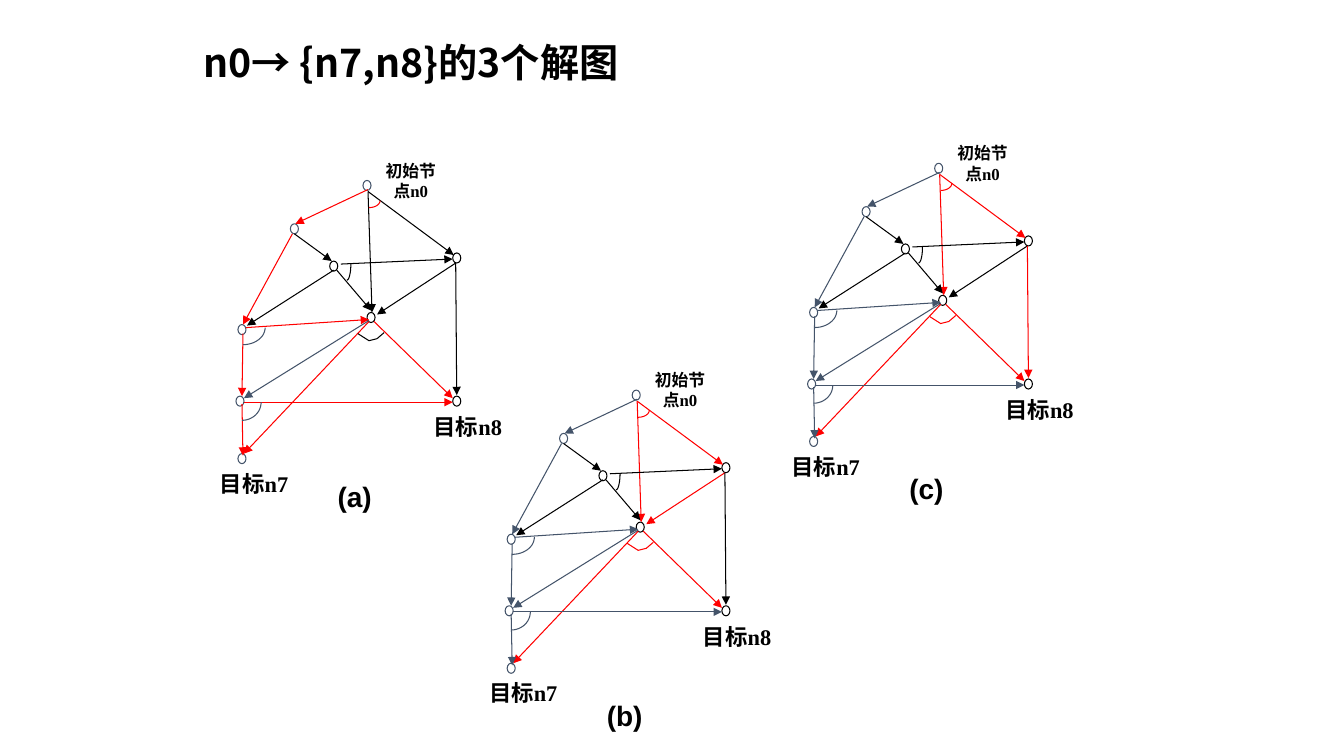
from dataclasses import dataclass
from math import cos, pi, sin

from lxml.etree import SubElement
from pptx import Presentation
from pptx.dml.color import RGBColor
from pptx.enum.shapes import MSO_CONNECTOR, MSO_SHAPE
from pptx.enum.text import MSO_ANCHOR, MSO_AUTO_SIZE, PP_ALIGN
from pptx.oxml.ns import qn
from pptx.shapes.shapetree import GroupShapes
from pptx.util import Inches, Pt

COLORS = {"black": "000000", "slate": "44546A", "red": "FF0000"}
Point = tuple[float, float]


@dataclass
class Node:
    left: float
    top: float
    color: str


@dataclass
class Edge:
    key: str
    start: Point
    end: Point
    color: str


@dataclass
class Arc:
    key: str
    center: Point
    radii: Point
    color: str


@dataclass
class Label:
    text: str
    left: float
    top: float
    width: float
    height: float
    size: int


@dataclass
class Graph:
    name: str
    origin: Point
    caption: float
    red: set[str]


# Positions below are measured from the origin of each graph.
NODES = [
    Node(1.27, 0.27, "slate"), Node(0.55, 0.7, "slate"),
    Node(0.94, 1.07, "black"), Node(1.31, 1.58, "black"),
    Node(2.16, 0.99, "black"), Node(0.03, 1.7, "slate"),
    Node(0.01, 2.41, "slate"), Node(2.16, 2.41, "black"),
    Node(0.03, 2.98, "slate"),
]
# An edge key holds the numbers of the two nodes it joins.
EDGES = [
    Edge("01", (1.32, 0.36), (0.6, 0.7), "slate"),
    Edge("03", (1.32, 0.38), (1.36, 1.58), "black"),
    Edge("04", (1.32, 0.38), (2.17, 1.01), "black"),
    Edge("15", (0.57, 0.8), (0.08, 1.7), "slate"),
    Edge("12", (0.59, 0.8), (0.96, 1.07), "black"),
    Edge("23", (1.01, 1.16), (1.35, 1.56), "black"),
    Edge("24", (1.05, 1.1), (2.16, 1.05), "black"),
    Edge("53", (0.11, 1.73), (1.33, 1.65), "slate"),
    Edge("56", (0.08, 1.79), (0.07, 2.41), "slate"),
    Edge("43", (2.19, 1.09), (1.41, 1.6), "black"),
    Edge("48", (2.19, 1.09), (2.2, 2.4), "black"),
    Edge("36", (1.33, 1.66), (0.09, 2.43), "slate"),
    Edge("37", (1.33, 1.67), (0.09, 2.98), "red"),
    Edge("38", (1.38, 1.67), (2.16, 2.43), "red"),
    Edge("68", (0.09, 2.47), (2.16, 2.47), "slate"),
    Edge("67", (0.07, 2.49), (0.08, 3.0), "slate"),
    Edge("25", (0.98, 1.16), (0.12, 1.71), "black"),
]
ARCS = [
    Arc("0", (1.33, 0.47), (0.11, 0.07), "red"),
    Arc("2", (1.11, 1.1), (0.04, 0.16), "black"),
    Arc("5", (0.08, 1.73), (0.22, 0.17), "slate"),
    Arc("6", (0.07, 2.47), (0.19, 0.18), "slate"),
]
HUB = [(1.22, 1.79), (1.33, 1.86), (1.41, 1.84), (1.48, 1.78)]
LABELS = [
    Label("目标n7", -0.25, 3.09, 0.88, 0.37, 16),
    Label("目标n8", 1.87, 2.53, 0.88, 0.37, 16),
    Label("初始节点n0", 1.37, 0.02, 0.75, 0.5, 12),
]
GRAPHS = [
    Graph("(b)", (5, 3.6), 6.92, {"03", "04", "43", "37", "38", "3"}),
    Graph("(c)", (8, 1.35), 4.67, {"03", "04", "48", "37", "38", "3"}),
    Graph("(a)", (2.33, 1.52), 4.75,
          {"01", "15", "53", "56", "37", "38", "68", "67"}),
]


def paint(shape, color: str) -> None:
    shape.line.color.rgb = RGBColor.from_string(COLORS[color])
    shape.line.width = Pt(0.75)


def shift(graph: Graph, point: Point) -> tuple[int, int]:
    """Turn a point of a graph into a place on the slide."""
    return (Inches(graph.origin[0] + point[0]),
            Inches(graph.origin[1] + point[1]))


def draw_node(shapes: GroupShapes, graph: Graph, node: Node) -> None:
    oval = shapes.add_shape(MSO_SHAPE.OVAL, *shift(graph, (node.left, node.top)),
                            Inches(0.08), Inches(0.1))
    oval.shadow.inherit = False
    oval.fill.background()
    paint(oval, node.color)


def draw_edge(shapes: GroupShapes, graph: Graph, edge: Edge) -> None:
    line = shapes.add_connector(MSO_CONNECTOR.STRAIGHT,
                                *shift(graph, edge.start),
                                *shift(graph, edge.end))
    paint(line, "red" if edge.key in graph.red else edge.color)
    props = line._element.spPr
    SubElement(props.find(qn("a:ln")), qn("a:tailEnd"), type="triangle")
    SubElement(props, qn("a:effectLst"))


def draw_path(shapes: GroupShapes, graph: Graph, points: list[Point],
              color: str) -> None:
    spots = [shift(graph, point) for point in points]
    pen = shapes.build_freeform(*spots[0])
    pen.add_line_segments(spots[1:], close=False)
    curve = pen.convert_to_shape()
    curve.shadow.inherit = False
    curve.fill.background()
    paint(curve, color)


def trace(arc: Arc, steps: int = 12) -> list[Point]:
    """List points of a quarter ellipse from its foot to its right end."""
    turns = [pi / 2 * (1 - step / steps) for step in range(steps + 1)]
    return [(arc.center[0] + arc.radii[0] * cos(turn),
             arc.center[1] + arc.radii[1] * sin(turn)) for turn in turns]


def write(frame, text: str, font: str, size: int, align: PP_ALIGN) -> None:
    frame.text = text
    frame.word_wrap = True
    frame.auto_size = MSO_AUTO_SIZE.NONE
    para = frame.paragraphs[0]
    para.alignment = align
    para.font.name = font
    para.font.size = Pt(size)
    para.font.bold = True
    para.font.color.rgb = RGBColor.from_string(COLORS["black"])


def draw_label(shapes: GroupShapes, graph: Graph, label: Label) -> None:
    box = shapes.add_textbox(*shift(graph, (label.left, label.top)),
                             Inches(label.width), Inches(label.height))
    write(box.text_frame, label.text, "Times New Roman", label.size,
          PP_ALIGN.CENTER)
    box.text_frame.vertical_anchor = MSO_ANCHOR.MIDDLE


def draw_graph(slide, graph: Graph) -> None:
    shapes = slide.shapes.add_group_shape().shapes
    for node in NODES:
        draw_node(shapes, graph, node)
    for edge in EDGES:
        draw_edge(shapes, graph, edge)
    for arc in ARCS:
        draw_path(shapes, graph, trace(arc), arc.color)
    draw_path(shapes, graph, HUB, "red" if "3" in graph.red else "black")
    for label in LABELS:
        draw_label(shapes, graph, label)
    box = slide.shapes.add_textbox(Inches(graph.origin[0] + 0.92),
                                   Inches(graph.caption),
                                   Inches(0.83), Inches(0.28))
    write(box.text_frame, graph.name, "Arial", 20, PP_ALIGN.LEFT)
    box.text_frame.paragraphs[0].line_spacing = 0.9


def main() -> None:
    deck = Presentation()
    deck.slide_width, deck.slide_height = Inches(13.33), Inches(7.5)
    slide = deck.slides.add_slide(deck.slide_layouts[5])
    title = slide.shapes.title
    title.left, title.top = Inches(1.92), Inches(0.33)
    title.width, title.height = Inches(9), Inches(0.62)
    write(title.text_frame, "n0→ {n7,n8}的3个解图", "Noto Sans CJK SC", 28,
          PP_ALIGN.LEFT)
    title.text_frame.vertical_anchor = MSO_ANCHOR.MIDDLE
    title.text_frame.paragraphs[0].line_spacing = 0.9
    for graph in GRAPHS:
        draw_graph(slide, graph)
    deck.save("out.pptx")


if __name__ == "__main__":
    main()
